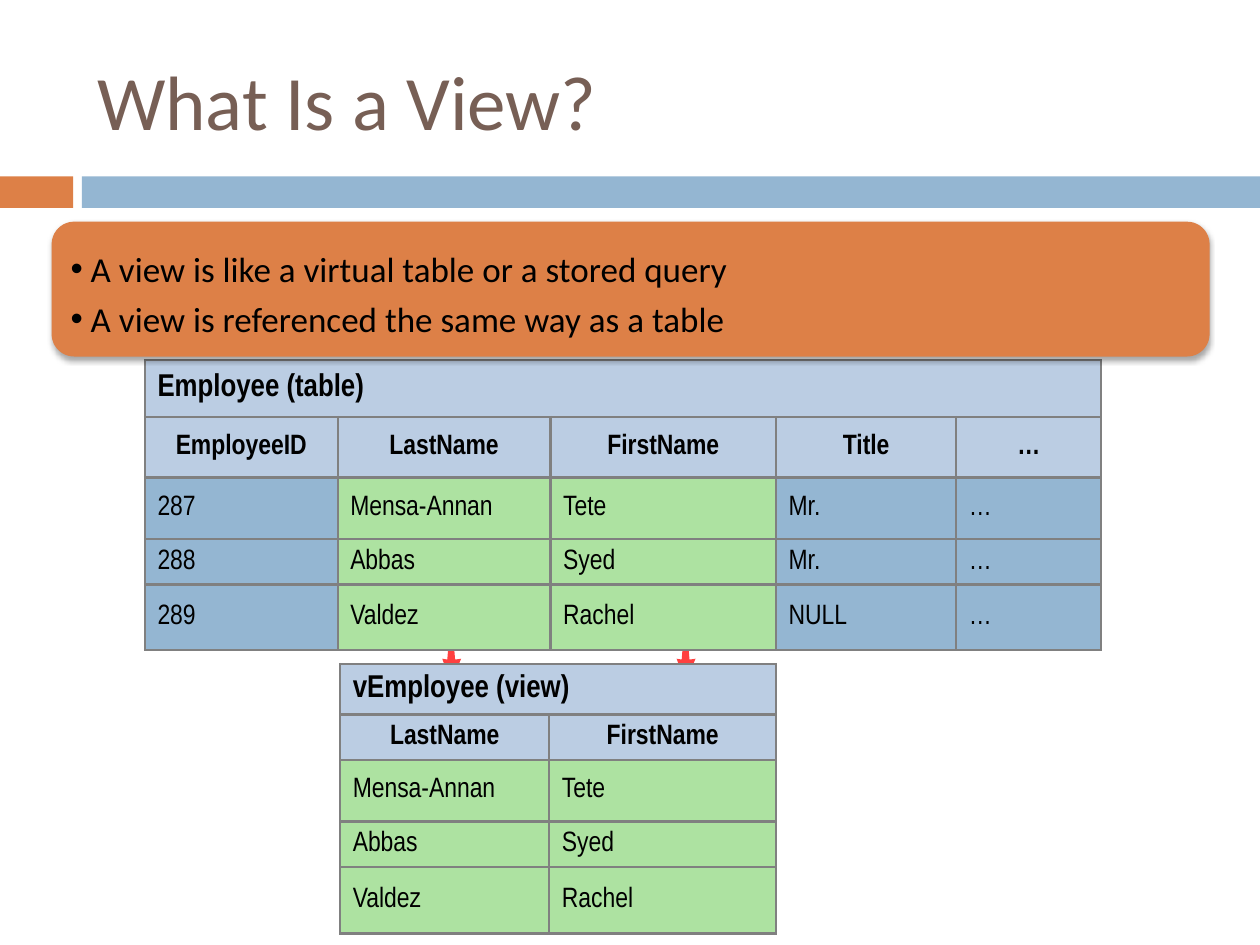
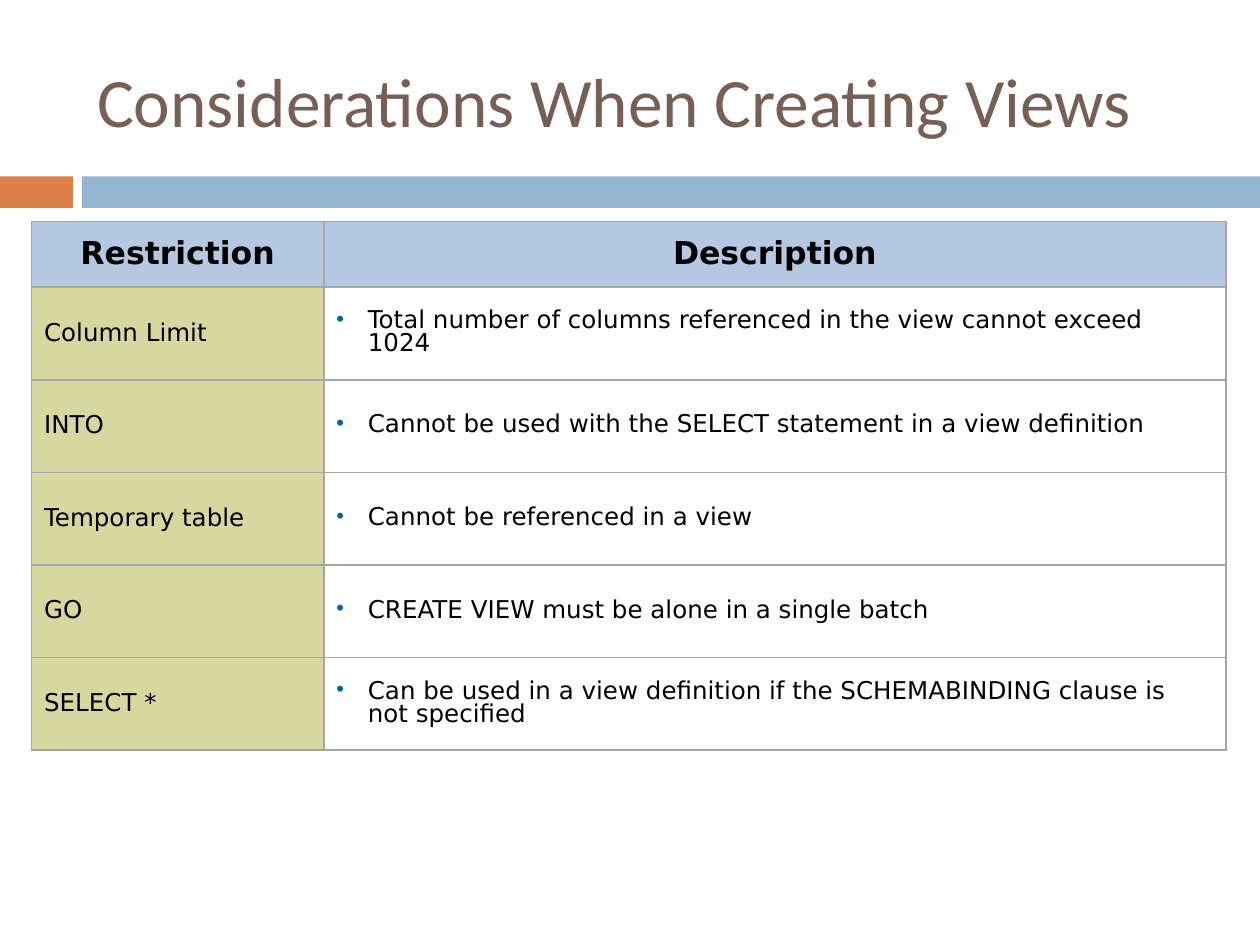
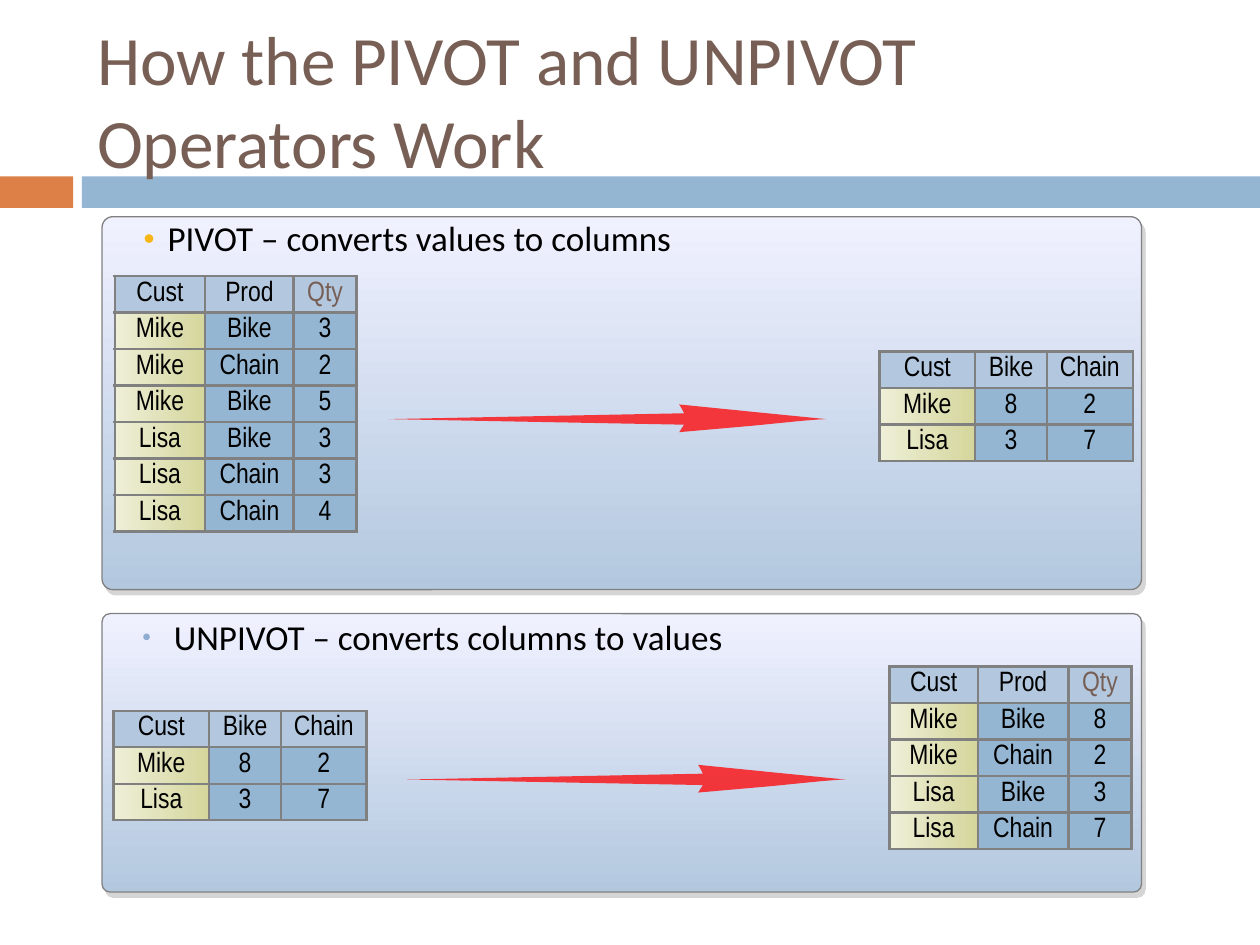
from dataclasses import dataclass, replace
from typing import Any, Callable, Optional

from lxml import etree
from pptx import Presentation
from pptx import util as u
from pptx.dml.color import RGBColor
from pptx.enum import shapes, text
from pptx.oxml import ns

COLORS = {
    "orange": "DD8047", "blue": "94B6D2", "brown": "775F55", "black": "000000",
    "white": "FFFFFF", "gray": "808080", "light gray": "A6A6A6", "shade": "ADADAD",
    "red": "FF0000", "green": "ADE2A1", "header": "BBCDE3", "rule header": "B4C8E1",
    "rule name": "D7D7A0", "pivot header": "B3C8DF", "panel top": "F0F1FF",
    "cream": "EEEFD7", "khaki": "D5D69C", "teal": "006699", "gold": "F7B615",
    "soft blue": "8DACD0",
}
LEFT, CENTER = text.PP_ALIGN.LEFT, text.PP_ALIGN.CENTER
MIDDLE, TOP = text.MSO_ANCHOR.MIDDLE, text.MSO_ANCHOR.TOP
# Right-pointing dart as (along, across) fractions of its box
DART = [(0.675, 0.32), (0.67, 0.16), (0.664, 0), (0.833, 0.27), (0.948, 0.45),
        (1, 0.53), (0.985, 0.54), (0.945, 0.59), (0.83, 0.77), (0.664, 1),
        (0.675, 0.73), (0, 0.53)]


@dataclass(frozen=True)
class Paint:
    """A solid fill, or a gradient when a second colour is named."""
    color: str
    second: Optional[str] = None
    angle: int = 0
    alpha: int = 100


@dataclass(frozen=True)
class TextStyle:
    """Character and paragraph format of one text."""
    size: float
    font: str
    color: str = "black"
    bold: bool = False
    align: Any = LEFT
    line: float = 1.0
    before: int = 0
    indent: float = 0
    bullet: Optional[str] = None
    bullet_size: int = 100


@dataclass(frozen=True)
class Shadow:
    """An outer shadow: points, degrees and percent."""
    color: str
    alpha: int
    blur: float
    distance: float
    angle: int


@dataclass(frozen=True)
class Grid:
    """A table with a rule that gives each cell its paint and text style."""
    left: float
    top: float
    cols: list[float]
    rows: list[float]
    texts: list[list[str]]
    look: Callable[[int, int], tuple[Paint, TextStyle]]
    border: str = "gray"
    border_width: float = 1.5
    margin: float = 0.05
    anchor: Any = MIDDLE
    heading: bool = False


def rgb(name: str) -> RGBColor:
    """Look up a named colour."""
    return RGBColor.from_string(COLORS[name])


def assign(target: Any, values: dict[str, Any]) -> None:
    """Set several attributes on one object."""
    for key, value in values.items():
        setattr(target, key, value)


def sub(parent: Any, tag: str, **attributes: Any) -> Any:
    """Append a DrawingML child element."""
    return etree.SubElement(parent, ns.qn(f"a:{tag}"),
                            {key: str(value) for key, value in attributes.items()})


def box(*lengths: float) -> list[int]:
    """Turn inches into lengths."""
    return [u.Inches(length) for length in lengths]


def paint(fill: Any, spec: Paint) -> None:
    """Apply a solid, translucent or gradient fill."""
    if spec.second:
        fill.gradient()
        fill.gradient_angle = -spec.angle % 360
        for stop, name in zip(fill.gradient_stops, (spec.color, spec.second)):
            stop.color.rgb = rgb(name)
        return
    fill.solid()
    fill.fore_color.rgb = rgb(spec.color)
    if spec.alpha < 100:
        sub(next(fill._xPr.iter(ns.qn("a:srgbClr"))), "alpha", val=spec.alpha * 1000)


def write(paragraph: Any, words: str, style: TextStyle) -> None:
    """Fill a paragraph with one formatted run."""
    run = paragraph.add_run()
    run.text = words
    assign(run.font, {"size": u.Pt(style.size), "name": style.font, "bold": style.bold})
    run.font.color.rgb = rgb(style.color)
    assign(paragraph, {"alignment": style.align, "line_spacing": style.line})
    props = paragraph._p.get_or_add_pPr()
    if style.before:
        sub(sub(props, "spcBef"), "spcPct", val=style.before * 1000)
    if style.bullet:
        props.set("marL", str(u.Inches(style.indent)))
        props.set("indent", str(-u.Inches(style.indent)))
        sub(sub(props, "buClr"), "srgbClr", val=COLORS[style.bullet])
        sub(props, "buSzPct", val=style.bullet_size * 1000)
        sub(props, "buFont", typeface="Arial")
        sub(props, "buChar", char="•")


def add_box(slide: Any, kind: Any, place: tuple, fill: Paint, line: Optional[str] = None,
            shadow: Optional[Shadow] = None, corner: Optional[float] = None) -> Any:
    """Draw a preset shape."""
    shape = slide.shapes.add_shape(kind, *box(*place))
    paint(shape.fill, fill)
    if corner is not None:
        shape.adjustments[0] = corner
    if line:
        shape.line.color.rgb = rgb(line)
        shape.line.width = u.Pt(0.75)
    else:
        shape.line.fill.background()
    shape.shadow.inherit = False
    if shadow:
        outer = sub(shape._element.spPr.find(ns.qn("a:effectLst")), "outerShdw",
                    blurRad=u.Pt(shadow.blur), dist=u.Pt(shadow.distance),
                    dir=shadow.angle * 60000, algn="tl", rotWithShape=0)
        tint = sub(outer, "srgbClr", val=COLORS[shadow.color])
        sub(tint, "alpha", val=shadow.alpha * 1000)
    return shape


def add_dart(slide: Any, left: float, top: float, width: float, height: float,
             down: bool = False) -> None:
    """Draw the red arrow, pointing right or down."""
    points = [((1 - across, along) if down else (along, across)) for along, across in DART]
    corners = [box(left + x * width, top + y * height) for x, y in points]
    builder = slide.shapes.build_freeform(*corners[0])
    builder.add_line_segments(corners[1:], close=True)
    dart = builder.convert_to_shape()
    paint(dart.fill, Paint("red", alpha=75))
    dart.line.fill.background()
    dart.shadow.inherit = False


def add_grid(slide: Any, grid: Grid) -> None:
    """Draw a table with explicit fills and borders."""
    frame = slide.shapes.add_table(len(grid.rows), len(grid.cols),
                                   *box(grid.left, grid.top, sum(grid.cols), sum(grid.rows)))
    table = frame.table
    assign(table, {"first_row": False, "horz_banding": False})
    for column, width in zip(table.columns, grid.cols):
        column.width = u.Inches(width)
    for row, height in zip(table.rows, grid.rows):
        row.height = u.Inches(height)
    if grid.heading:
        table.cell(0, 0).merge(table.cell(0, len(grid.cols) - 1))
    margin = u.Inches(grid.margin)
    for r in range(len(grid.rows)):
        for c in range(len(grid.cols)):
            cell = table.cell(r, c)
            fill, style = grid.look(r, c)
            assign(cell, {"margin_top": margin, "margin_bottom": margin,
                          "margin_left": u.Inches(0.1), "margin_right": u.Inches(0.1),
                          "vertical_anchor": grid.anchor})
            props = cell._tc.get_or_add_tcPr()
            for side in ("lnL", "lnR", "lnT", "lnB"):
                edge = sub(props, side, w=u.Pt(grid.border_width))
                sub(sub(edge, "solidFill"), "srgbClr", val=COLORS[grid.border])
            paint(cell.fill, fill)
            if not cell.is_spanned:
                write(cell.text_frame.paragraphs[0], grid.texts[r][c], style)


def add_titled_slide(deck: Any, title: str, size: float = 39.6) -> Any:
    """Add a slide with its title placed and formatted."""
    slide = deck.slides.add_slide(deck.slide_layouts[5])
    holder = slide.shapes.title
    left, top, width, height = box(0.67, 0.25, 8.92, 1.08)
    assign(holder, {"left": left, "top": top, "width": width, "height": height})
    assign(holder.text_frame, {"vertical_anchor": MIDDLE, "word_wrap": True,
                               "auto_size": text.MSO_AUTO_SIZE.NONE})
    write(holder.text_frame.paragraphs[0], title, TextStyle(size, "Calibri", "brown"))
    return slide


def add_bands(slide: Any) -> None:
    """Draw the two title bands and hand them to the shared layout."""
    for left, width, color in ((0, 0.58, "orange"), (0.65, 9.35, "blue")):
        band = add_box(slide, shapes.MSO_SHAPE.RECTANGLE, (left, 1.4, width, 0.25), Paint(color))
        slide.slide_layout.shapes._spTree.append(band._element)


def add_caption(slide: Any, left: float, top: float, words: str, style: TextStyle) -> None:
    """Write the bulleted line at the head of a panel."""
    frame = slide.shapes.add_textbox(*box(left, top, 7.61, 0.46)).text_frame
    assign(frame, {"word_wrap": True, "margin_left": 0, "margin_right": 0,
                   "margin_top": 0, "margin_bottom": 0})
    write(frame.paragraphs[0], words, style)


NARROW = TextStyle(16, "Arial Narrow")
NARROW_HEAD = replace(NARROW, bold=True, align=CENTER, line=0.9, before=40)
PIVOT_TEXT = replace(NARROW_HEAD, bold=False)
RULE_HEAD = TextStyle(18, "DejaVu Sans", bold=True, align=CENTER, line=0.9, before=70)
RULE_NAME = replace(RULE_HEAD, size=14, bold=False, align=LEFT)
RULE_TEXT = replace(RULE_NAME, line=0.8, before=30, indent=0.25, bullet="teal", bullet_size=90)
BODY = TextStyle(20, "Calibri")


def employee_look(row: int, col: int, viewed: tuple = (1, 2)) -> tuple[Paint, TextStyle]:
    """Style employee cells: columns in the view are green."""
    if row == 0:
        return Paint("header"), replace(NARROW_HEAD, size=18, align=LEFT)
    if row == 1:
        return Paint("header"), NARROW_HEAD
    return (Paint("green", alpha=50) if col in viewed else Paint("blue")), NARROW


def view_look(row: int, col: int) -> tuple[Paint, TextStyle]:
    """Style the view, where every column is green."""
    return employee_look(row, col, (0, 1))


def rule_look(row: int, col: int) -> tuple[Paint, TextStyle]:
    """Style the restriction table."""
    if row == 0:
        return Paint("rule header"), RULE_HEAD
    return (Paint("white"), RULE_TEXT) if col else (Paint("rule name"), RULE_NAME)


def pivot_look(row: int, col: int) -> tuple[Paint, TextStyle]:
    """Style a pivoted table: the customer column has a gradient."""
    if row == 0:
        return Paint("pivot header"), PIVOT_TEXT
    return (Paint("blue") if col else Paint("cream", "khaki")), PIVOT_TEXT


def detail_look(row: int, col: int) -> tuple[Paint, TextStyle]:
    """Style a detail table: as pivoted, with a brown quantity heading."""
    fill, style = pivot_look(row, col)
    return fill, replace(style, color="brown") if (row, col) == (0, 2) else style


def build_view_slide(deck: Any) -> None:
    """Explain a view beside its base table."""
    slide = add_titled_slide(deck, "What Is a View?", 44)
    add_bands(slide)
    for left in (5.37, 3.51):
        add_dart(slide, left, 4.85, 0.15, 0.57, down=True)
    records = [["EmployeeID", "LastName", "FirstName", "Title", "…"],
               ["287", "Mensa-Annan", "Tete", "Mr.", "…"],
               ["288", "Abbas", "Syed", "Mr.", "…"],
               ["289", "Valdez", "Rachel", "NULL", "…"]]
    add_grid(slide, Grid(1.15, 2.86, [1.53, 1.69, 1.79, 1.43, 1.15],
                         [0.45, 0.48, 0.49, 0.36, 0.52],
                         [["Employee (table)"], *records], employee_look, heading=True))
    add_grid(slide, Grid(2.7, 5.27, [1.66, 1.8], [0.4, 0.36, 0.49, 0.36, 0.53],
                         [["vEmployee (view)"], *(record[1:3] for record in records)],
                         view_look, heading=True))
    callout = add_box(slide, shapes.MSO_SHAPE.ROUNDED_RECTANGLE, (0.41, 1.76, 9.19, 1.07),
                      Paint("orange"), shadow=Shadow("black", 35, 3, 2, 90), corner=0.167)
    frame = callout.text_frame
    inset = u.Inches(0.1)
    assign(frame, {"word_wrap": True, "vertical_anchor": MIDDLE, "margin_left": inset,
                   "margin_right": inset, "margin_top": inset, "margin_bottom": inset})
    facts = (" A view is like a virtual table or a stored query",
             " A view is referenced the same way as a table")
    for i, fact in enumerate(facts):
        paragraph = frame.add_paragraph() if i else frame.paragraphs[0]
        write(paragraph, fact, replace(BODY, line=1.2, bullet="black"))


def build_rules_slide(deck: Any) -> None:
    """List the restrictions on views."""
    slide = add_titled_slide(deck, "Considerations When Creating Views")
    rules = [["Restriction", "Description"],
             ["Column Limit", "Total number of columns referenced in the view cannot exceed 1024"],
             ["INTO", "Cannot be used with the SELECT statement in a view definition"],
             ["Temporary table", "Cannot be referenced in a view"],
             ["GO", "CREATE VIEW must be alone in a single batch"],
             ["SELECT *", "Can be used in a view definition if the SCHEMABINDING clause "
                          "is not specified"]]
    add_grid(slide, Grid(0.25, 1.76, [2.32, 7.16], [0.52] + [0.735] * 5, rules, rule_look,
                         border="light gray", border_width=1, margin=0.1))


def build_pivot_slide(deck: Any) -> None:
    """Show PIVOT and UNPIVOT as before-and-after tables."""
    slide = add_titled_slide(deck, "How the PIVOT and UNPIVOT Operators Work")
    for top, height in ((4.87, 2.21), (1.72, 2.96)):
        add_box(slide, shapes.MSO_SHAPE.ROUNDED_RECTANGLE, (0.81, top, 8.25, height),
                Paint("panel top", "pivot header", 90), "gray",
                Shadow("shade", 50, 0, 3.6, 56), 0.029)
    head = ["Cust", "Prod", "Qty"]
    sales = [head, ["Mike", "Bike", "3"], ["Mike", "Chain", "2"], ["Mike", "Bike", "5"],
             ["Lisa", "Bike", "3"], ["Lisa", "Chain", "3"], ["Lisa", "Chain", "4"]]
    totals = [head, ["Mike", "Bike", "8"], ["Mike", "Chain", "2"],
              ["Lisa", "Bike", "3"], ["Lisa", "Chain", "7"]]
    pivoted = [["Cust", "Bike", "Chain"], ["Mike", "8", "2"], ["Lisa", "3", "7"]]
    wide = [0.76, 0.57, 0.68]
    for left, top, cols, texts, look in (
            (6.98, 2.79, wide, pivoted, pivot_look),
            (7.06, 5.29, [0.7, 0.72, 0.5], totals, detail_look),
            (0.9, 5.64, wide, pivoted, pivot_look),
            (0.91, 2.19, [0.72, 0.7, 0.5], sales, detail_look)):
        add_grid(slide, Grid(left, top, cols, [0.29] * len(texts), texts, look, anchor=TOP))
    for left, top in ((3.08, 3.21), (3.23, 6.07)):
        add_dart(slide, left, top, 3.48, 0.22)
    caption = replace(BODY, line=0.9)
    add_caption(slide, 1.14, 1.76, "PIVOT – converts values to columns",
                replace(caption, before=70, indent=0.19, bullet="gold", bullet_size=90))
    add_caption(slide, 1.13, 4.92, "UNPIVOT – converts columns to values",
                replace(caption, before=40, indent=0.25, bullet="soft blue", bullet_size=70))


def main() -> None:
    """Build and save the deck."""
    deck = Presentation()
    assign(deck, {"slide_width": u.Inches(10), "slide_height": u.Inches(7.5)})
    for build in (build_view_slide, build_rules_slide, build_pivot_slide):
        build(deck)
    deck.save("out.pptx")


main()
